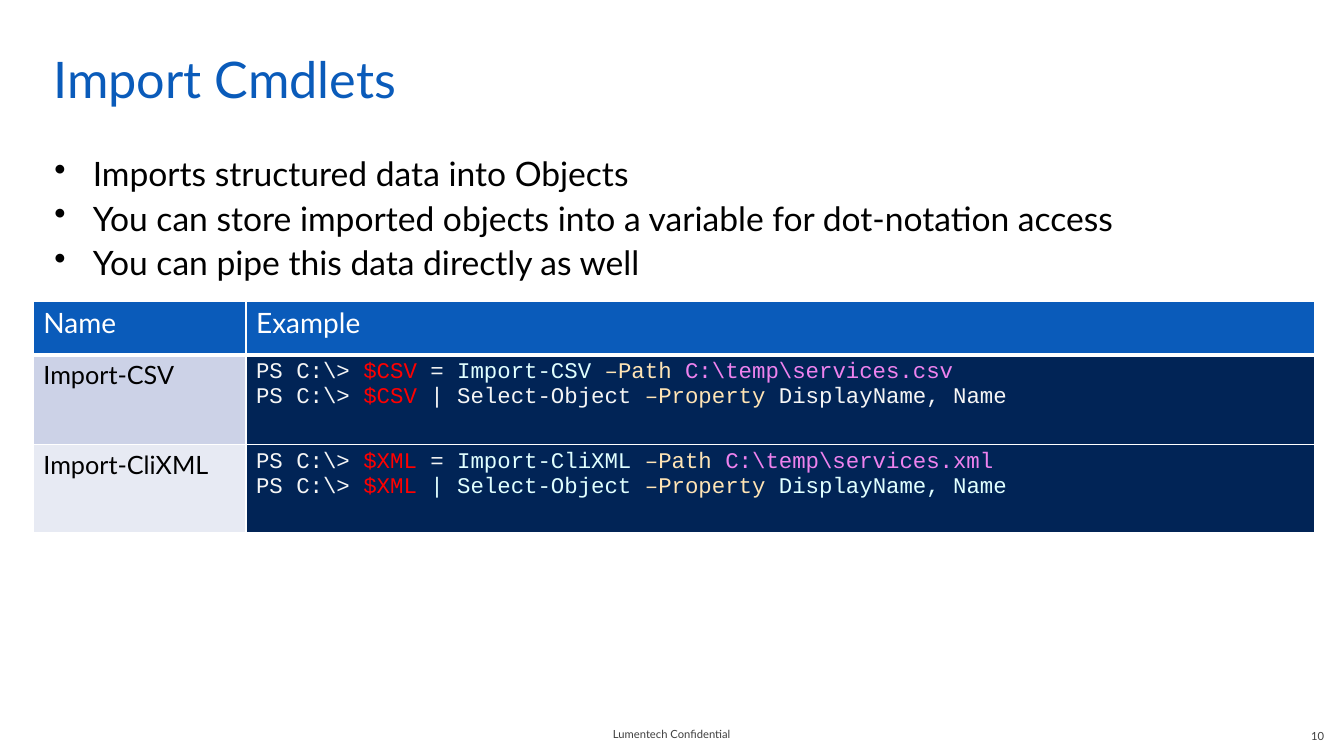
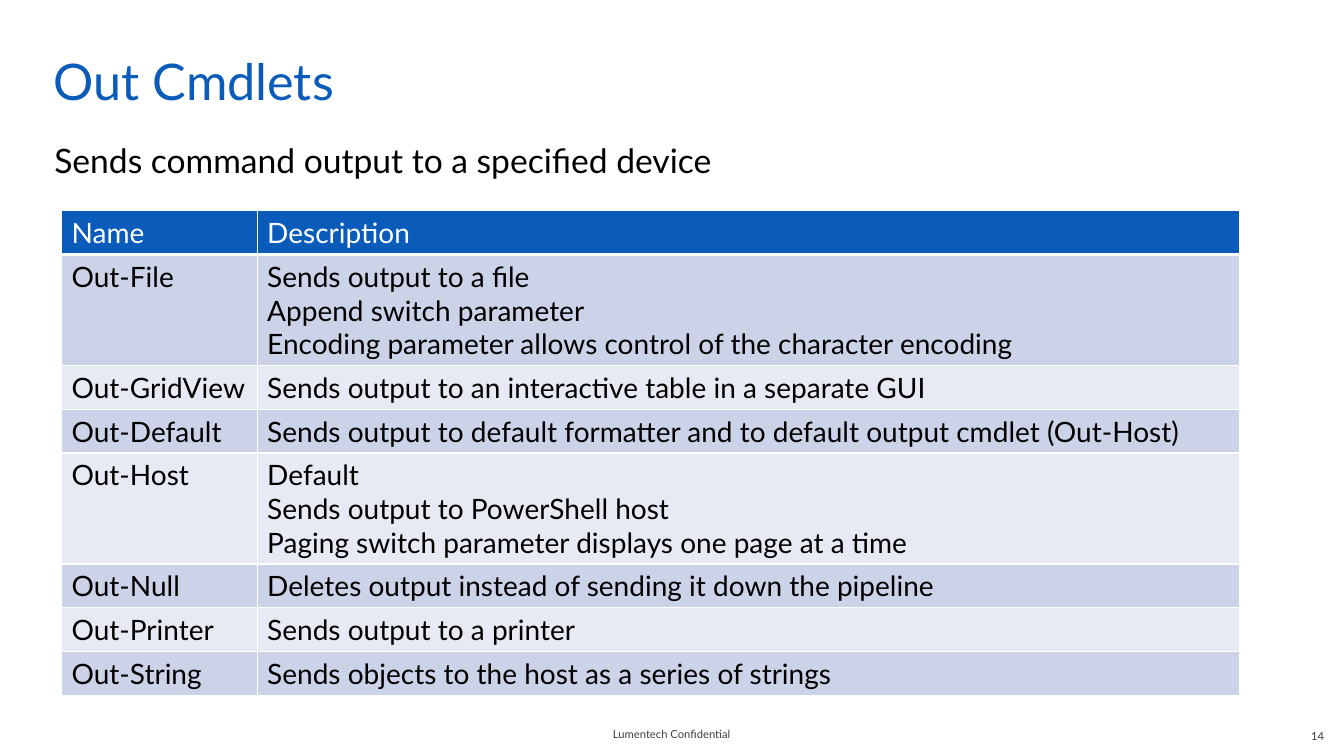
"""Build two slides on PowerShell import and output cmdlets."""

from dataclasses import dataclass

from lxml.etree import SubElement
from pptx import Presentation
from pptx.dml.color import RGBColor
from pptx.enum.text import MSO_ANCHOR as Anchor, PP_ALIGN as Align
from pptx.oxml.ns import qn
from pptx.util import Cm, Pt

COLOURS = {
    "blue": "0A5BBA",
    "black": "000000",
    "white": "FFFFFF",
    "grey": "3F3F3F",
    "band_dark": "CCD2E7",
    "band_light": "E7EAF3",
    "console": "012456",
    "prompt": "F5F5F5",
    "variable": "FF0000",
    "command": "E0FFFF",
    "parameter": "FFE4B5",
    "value": "EE82EE",
}
BANDS = ("band_dark", "band_light")
SANS = "Lato"
MONO = "Courier New"
WIDE_INSETS = (0.51, 0.13, 0.51, 0.13)
TITLE_INSETS = (0.51, 0.38, 0.25, 0.13)
BODY_INSETS = (0.25, 0.13, 0.25, 0.13)


@dataclass(frozen=True)
class Style:
    size: float
    colour: str = "black"
    face: str = SANS
    align: Align = Align.LEFT
    before: float = 0


@dataclass(frozen=True)
class Span:
    text: str
    colour: str


@dataclass(frozen=True)
class Cell:
    lines: tuple
    style: Style
    fill: str


@dataclass(frozen=True)
class Row:
    height: float
    cells: tuple


TITLE = Style(36, "blue")
BODY = Style(24, before=3)
FOOTER = Style(8, "grey", align=Align.CENTER)
NUMBER = Style(8, "grey", align=Align.RIGHT)
HEADER = Style(20, "white")
ENTRY = Style(20)
CMDLET = Style(18)
CODE = Style(16, "prompt", MONO)


def rgb(name: str) -> RGBColor:
    """Return the named colour."""
    return RGBColor.from_string(COLOURS[name])


def write(frame, lines: tuple, style: Style, bulleted: bool = False) -> None:
    """Write lines, each a string or a tuple of spans, as paragraphs."""
    for index, line in enumerate(lines):
        para = frame.paragraphs[0] if index == 0 else frame.add_paragraph()
        para.alignment = style.align
        para.space_before = Pt(style.before)
        para.font.size = Pt(style.size)
        para.font.name = style.face
        spans = (Span(line, style.colour),) if isinstance(line, str) else line
        for span in spans:
            run = para.add_run()
            run.text = span.text
            run.font.color.rgb = rgb(span.colour)
        if bulleted:
            add_bullet(para)


def add_bullet(para) -> None:
    """Give a paragraph a hanging round bullet."""
    properties = para._p.get_or_add_pPr()
    properties.set("marL", str(Cm(0.97)))
    properties.set("indent", str(-Cm(0.97)))
    bullet = properties.makeelement(qn("a:buChar"), {"char": "•"})
    properties.find(qn("a:defRPr")).addprevious(bullet)


def add_text(page, place: tuple, insets: tuple, lines: tuple, style: Style,
             anchor: Anchor = Anchor.TOP, bulleted: bool = False) -> None:
    """Add a wrapped text box."""
    frame = page.shapes.add_textbox(*map(Cm, place)).text_frame
    frame.word_wrap = True
    frame.vertical_anchor = anchor
    (frame.margin_left, frame.margin_top,
     frame.margin_right, frame.margin_bottom) = map(Cm, insets)
    write(frame, lines, style, bulleted)


def add_borders(cell, bottom: float) -> None:
    """Draw white borders around a table cell."""
    properties = cell._tc.get_or_add_tcPr()
    for side, width in (("L", 1), ("R", 1), ("T", 1), ("B", bottom)):
        line = SubElement(properties, qn(f"a:ln{side}"), w=str(Pt(width)))
        fill = SubElement(line, qn("a:solidFill"))
        SubElement(fill, qn("a:srgbClr"), val=COLOURS["white"])


def add_table(page, left: float, top: float, widths: tuple, rows: list) -> None:
    """Add a table whose first row is a header."""
    height = sum(row.height for row in rows)
    table = page.shapes.add_table(
        len(rows), len(widths), Cm(left), Cm(top), Cm(sum(widths)), Cm(height)
    ).table
    table.first_row = table.horz_banding = False
    for column, width in zip(table.columns, widths):
        column.width = Cm(width)
    for index, row in enumerate(rows):
        table.rows[index].height = Cm(row.height)
        for cell, content in zip(table.rows[index].cells, row.cells):
            add_borders(cell, bottom=3 if index == 0 else 1)
            cell.fill.solid()
            cell.fill.fore_color.rgb = rgb(content.fill)
            write(cell.text_frame, content.lines, content.style)


def header_row(height: float, *names: str) -> Row:
    """Return a blue header row."""
    return Row(height, tuple(Cell((name,), HEADER, "blue") for name in names))


def code_row(height: float, band: str, kind: str, variable: str,
             extension: str, select_colour: str) -> Row:
    """Return a row with a cmdlet and its console example."""
    start = (Span("PS C:\\> ", "prompt"), Span(f"${variable} ", "variable"))
    load = start + (
        Span("= ", "prompt"),
        Span(f"Import-{kind} ", "command"),
        Span("–Path ", "parameter"),
        Span(f"C:\\temp\\services.{extension}", "value"),
    )
    select = start + (
        Span("| Select-Object ", select_colour),
        Span("–Property ", "parameter"),
        Span("DisplayName, Name", select_colour),
    )
    return Row(height, (Cell((f"Import-{kind}",), CMDLET, band),
                        Cell((load, select), CODE, "console")))


def description_row(index: int, name: str, lines: tuple) -> Row:
    """Return a banded row as tall as its lines need."""
    band = BANDS[index % 2]
    return Row(1.1 + 0.85 * (len(lines) - 1),
               (Cell((name,), ENTRY, band), Cell(lines, ENTRY, band)))


def add_page(deck, title: str, title_top: float, number: int):
    """Add a page with its title, footer and page number."""
    page = deck.slides.add_slide(deck.slide_layouts[6])
    add_text(page, (12.98, 17.98, 7.9, 1.02), WIDE_INSETS,
             ("Lumentech Confidential",), FOOTER, Anchor.MIDDLE)
    add_text(page, (0.84, title_top, 31.32, 1.9), TITLE_INSETS, (title,), TITLE)
    add_text(page, (25.98, 18.03, 7.9, 1.02), WIDE_INSETS,
             (str(number),), NUMBER, Anchor.MIDDLE)
    return page


def add_body(page, top: float, lines: tuple, bulleted: bool = False) -> None:
    """Add the body text below the title."""
    add_text(page, (1.12, top, 31.04, 13.77), BODY_INSETS, lines, BODY,
             bulleted=bulleted)


def build_import_page(deck) -> None:
    """Build the page on import cmdlets."""
    page = add_page(deck, "Import Cmdlets", 0.84, 10)
    add_body(page, 3.73, (
        "Imports structured data into Objects",
        "You can store imported objects into a variable for dot-notation access",
        "You can pipe this data directly as well",
    ), bulleted=True)
    add_table(page, 0.84, 7.59, (5.36, 26.92), [
        header_row(1.35, "Name", "Example"),
        code_row(2.26, "band_dark", "CSV", "CSV", "csv", "prompt"),
        code_row(2.21, "band_light", "CliXML", "XML", "xml", "command"),
    ])


def build_out_page(deck) -> None:
    """Build the page on output cmdlets."""
    page = add_page(deck, "Out Cmdlets", 0.89, 14)
    add_body(page, 3.4, ("Sends command output to a specified device",))
    descriptions = {
        "Out-File": (
            "Sends output to a file",
            "Append switch parameter",
            "Encoding parameter allows control of the character encoding",
        ),
        "Out-GridView": ("Sends output to an interactive table in a separate GUI",),
        "Out-Default": (
            "Sends output to default formatter and to default output cmdlet (Out-Host)",
        ),
        "Out-Host": (
            "Default",
            "Sends output to PowerShell host",
            "Paging switch parameter displays one page at a time",
        ),
        "Out-Null": ("Deletes output instead of sending it down the pipeline",),
        "Out-Printer": ("Sends output to a printer",),
        "Out-String": ("Sends objects to the host as a series of strings",),
    }
    rows = [description_row(index, name, lines)
            for index, (name, lines) in enumerate(descriptions.items())]
    add_table(page, 1.55, 5.31, (4.93, 24.77),
              [header_row(1.1, "Name", "Description"), *rows])


def main() -> None:
    """Build and save the deck."""
    deck = Presentation()
    deck.slide_width, deck.slide_height = Cm(33.87), Cm(19.05)
    build_import_page(deck)
    build_out_page(deck)
    deck.save("out.pptx")


if __name__ == "__main__":
    main()
